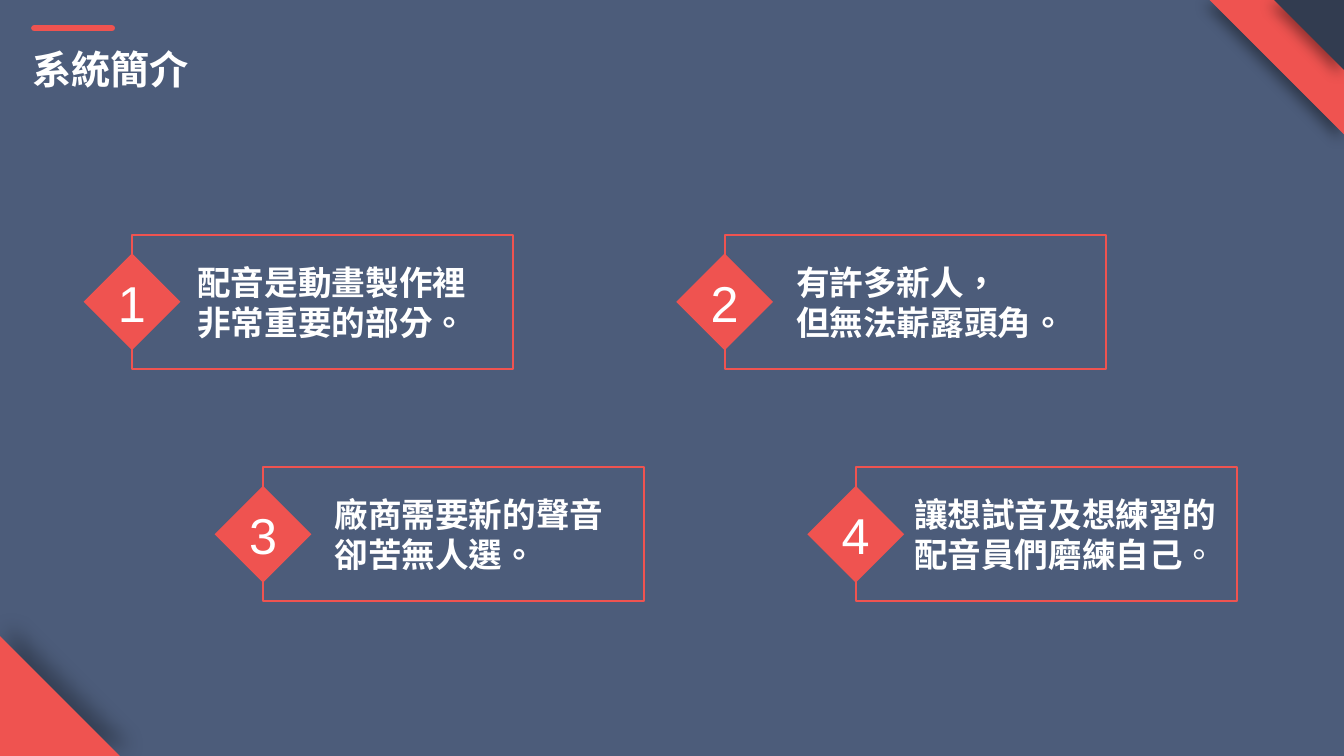
import dataclasses
import lxml.etree
import pptx
import pptx.dml.color
import pptx.enum.lang
import pptx.enum.shapes
import pptx.enum.text
import pptx.oxml
import pptx.oxml.ns
import pptx.util

SHAPE = pptx.enum.shapes.MSO_SHAPE
CHINESE = pptx.enum.lang.MSO_LANGUAGE_ID.TRADITIONAL_CHINESE


@dataclasses.dataclass(frozen=True)
class Theme:
    background: str = "4C5C7A"
    accent: str = "EF5350"
    dark: str = "323C50"
    white: str = "FFFFFF"
    shadow: str = "000000"
    font: str = "Arial"
    stop_font: str = "Noto Sans CJK SC"
    title: int = 28
    body: int = 24
    number: int = 36
    outline: float = 1.5
    bar: float = 4.5


def cells(*counts):
    return [pptx.util.Inches(count / 10) for count in counts]


def rgb(value):
    return pptx.dml.color.RGBColor.from_string(value)


class Deck:
    def __init__(self, theme):
        self.theme = theme
        self.presentation = pptx.Presentation()
        self.presentation.slide_width, self.presentation.slide_height = cells(133.33, 75)
        self.slide = self.presentation.slides.add_slide(self.presentation.slide_layouts[6])
        self.slide.background.fill.solid()
        self.slide.background.fill.fore_color.rgb = rgb(theme.background)

    def style(self, paragraph, size, bold=False):
        font = paragraph.font
        font.name, font.size, font.bold = self.theme.font, pptx.util.Pt(size), bold
        font.color.rgb = rgb(self.theme.white)
        font.language_id = CHINESE

    def shape(self, kind, box, fill=None):
        shape = self.slide.shapes.add_shape(kind, *cells(*box))
        shape.shadow.inherit = False
        if fill:
            shape.fill.solid()
            shape.fill.fore_color.rgb = rgb(fill)
            shape.line.fill.background()
        else:
            shape.fill.background()
            shape.line.color.rgb = rgb(self.theme.accent)
            shape.line.width = pptx.util.Pt(self.theme.outline)
        return shape

    def corner(self, box, fill, rotation, opacity, blur, distance, angle):
        triangle = self.shape(SHAPE.RIGHT_TRIANGLE, box, fill)
        triangle.rotation = rotation
        effects = triangle._element.spPr.find(pptx.oxml.ns.qn("a:effectLst"))
        effects.append(pptx.oxml.parse_xml(
            f'<a:outerShdw {pptx.oxml.ns.nsdecls("a")} blurRad="{pptx.util.Pt(blur)}"'
            f' dist="{pptx.util.Pt(distance)}" dir="{angle * 60000}" rotWithShape="0">'
            f'<a:srgbClr val="{self.theme.shadow}"><a:alpha val="{opacity * 1000}"/>'
            '</a:srgbClr></a:outerShdw>'))

    def bar(self, left, right, top):
        bar = self.slide.shapes.add_connector(
            pptx.enum.shapes.MSO_CONNECTOR.STRAIGHT, *cells(left, top, right, top))
        bar.line.color.rgb = rgb(self.theme.accent)
        bar.line.width = pptx.util.Pt(self.theme.bar)
        bar.line._ln.set("cap", "rnd")
        lxml.etree.SubElement(bar._element.spPr, pptx.oxml.ns.qn("a:effectLst"))

    def text(self, box, lines, size, wrap=True, stop_bold=None):
        frame = self.slide.shapes.add_textbox(*cells(*box)).text_frame
        frame.word_wrap = wrap
        for index, line in enumerate(lines):
            paragraph = frame.add_paragraph() if index else frame.paragraphs[0]
            self.style(paragraph, size, True)
            has_stop = stop_bold is not None and line.endswith("。")
            paragraph.add_run().text = line[:-1] if has_stop else line
            if has_stop:
                stop = paragraph.add_run()
                stop.text = line[-1]
                stop.font.name, stop.font.bold = self.theme.stop_font, stop_bold

    def diamond(self, box, number):
        frame = self.shape(SHAPE.DIAMOND, box, self.theme.accent).text_frame
        frame.vertical_anchor = pptx.enum.text.MSO_ANCHOR.MIDDLE
        paragraph = frame.paragraphs[0]
        paragraph.text = str(number)
        paragraph.alignment = pptx.enum.text.PP_ALIGN.CENTER
        self.style(paragraph, self.theme.number)

    def card(self, number, indent, width, lines, stop_bold):
        row, column = divmod(number - 1, 2)
        left, top = 13.1 + 58.8 * column + 13 * row, 23.3 + 23.05 * row
        self.shape(SHAPE.RECTANGLE, (left, top, 37.8, 13.3))
        self.diamond((left - 4.8, top + 1.85, 9.6, 9.6), number)
        self.text((left + indent, top + 2.15, width, 9.1), lines,
                  self.theme.body, stop_bold=stop_bold)


theme = Theme()
deck = Deck(theme)
deck.corner((120, 0, 13.33, 13.33), theme.accent, 180, 40, 10, 5, 135)
deck.corner((0, 63.1, 11.9, 11.9), theme.accent, 0, 30, 15, 10, 315)
deck.corner((126.4, 0, 6.93, 6.93), theme.dark, 180, 40, 10, 5, 135)
deck.bar(3.4, 11.1, 2.8)
deck.text((2.2, 4, 17.7, 5.7), ["系統簡介"], theme.title, wrap=False)

points = [
    (5.5, 31.8, ["配音是動畫製作裡非常重要的部分。"], True),
    (6.1, 29.9, ["有許多新人，", "但無法嶄露頭角。"], None),
    (6.1, 30.4, ["廠商需要新的聲音", "卻苦無人選。"], True),
    (4.8, 32.3, ["讓想試音及想練習的配音員們磨練自己。"], False),
]
for number, point in enumerate(points, 1):
    deck.card(number, *point)

deck.presentation.save("out.pptx")
